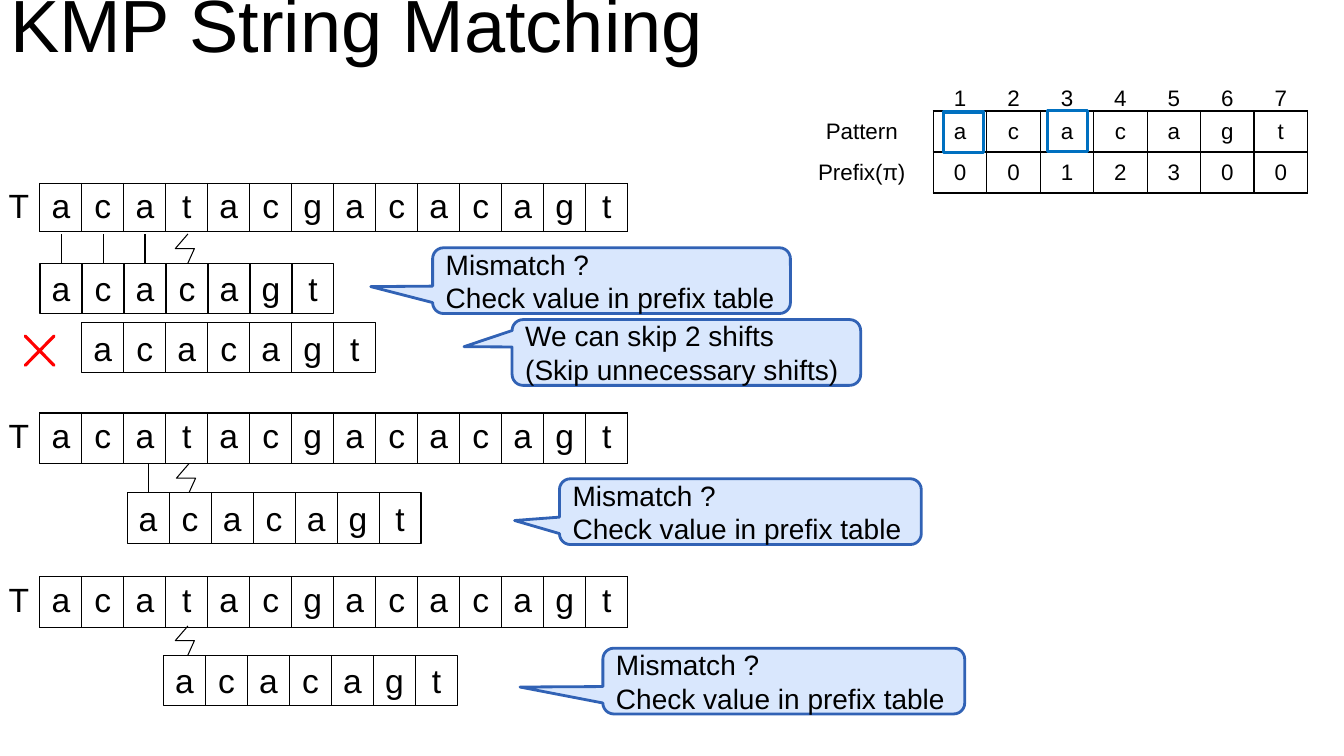
"""Build the KMP string matching slide."""
import pptx
import pptx.util
import pptx.dml.color
import pptx.enum.shapes
import pptx.enum.text
import pptx.oxml
import pptx.oxml.ns

Pt = pptx.util.Pt
MSO_SHAPE = pptx.enum.shapes.MSO_SHAPE
PP_ALIGN = pptx.enum.text.PP_ALIGN
MSO_ANCHOR = pptx.enum.text.MSO_ANCHOR
COLORS = {"text": "000000", "callout": "D9E7FD", "callout_line": "3162B5",
          "mark": "0070C0", "cross": "FF0000"}
NO_GRID = "{2D5ABB26-0587-4C30-8999-92F81FD0307C}"
TEXT = "acatacgacacagt"
PATTERN = "acacagt"
PREFIX = "0012300"
CELL_W = 30
CELL_H = 36
MISMATCH = ["Mismatch ?", "Check value in prefix table"]


def rgb(name):
    return pptx.dml.color.RGBColor.from_string(COLORS[name])


def format_paragraph(p, size, align):
    p.alignment = align
    p.font.size = Pt(size)
    p.font.name = "Arial"
    p.font.color.rgb = rgb("text")


def style_shape(sp, line, width, fill=None):
    sp.shadow.inherit = False
    sp.line.color.rgb = rgb(line)
    sp.line.width = Pt(width)
    if fill:
        sp.fill.solid()
        sp.fill.fore_color.rgb = rgb(fill)
    else:
        sp.fill.background()


def add_box(slide, kind, left, top, width, height, line, line_width, fill=None):
    sp = slide.shapes.add_shape(kind, Pt(left), Pt(top), Pt(width), Pt(height))
    style_shape(sp, line, line_width, fill)
    return sp


def add_title(slide, text):
    sp = slide.shapes.title
    sp.left, sp.top, sp.width, sp.height = Pt(0), Pt(0), Pt(960), Pt(56)
    tf = sp.text_frame
    tf.auto_size = pptx.enum.text.MSO_AUTO_SIZE.NONE
    tf.vertical_anchor = MSO_ANCHOR.BOTTOM
    tf.margin_left = tf.margin_top = tf.margin_right = tf.margin_bottom = Pt(7.2)
    tf.text = text
    p = tf.paragraphs[0]
    p.line_spacing = 0.9
    format_paragraph(p, 52.8, PP_ALIGN.LEFT)


def set_borders(cell, sides):
    tcPr = cell._tc.get_or_add_tcPr()
    ns = pptx.oxml.ns.nsdecls("a")
    for i, side in enumerate(s for s in "LRTB" if s in sides):
        tcPr.insert(i, pptx.oxml.parse_xml(
            f'<a:ln{side} {ns} w="12700"><a:solidFill>'
            f'<a:srgbClr val="{COLORS["text"]}"/></a:solidFill></a:ln{side}>'))


def fill_cell(cell, text, size, sides, anchor):
    cell.text = text
    cell.vertical_anchor = anchor
    format_paragraph(cell.text_frame.paragraphs[0], size, PP_ALIGN.CENTER)
    cell.fill.background()
    set_borders(cell, sides)


def add_grid(slide, left, top, widths, row_height, rows):
    frame = slide.shapes.add_table(len(rows), len(widths), Pt(left), Pt(top),
                                   Pt(sum(widths)), Pt(row_height * len(rows)))
    table = frame.table
    table.first_row = table.horz_banding = False
    table._tbl.tblPr.find(pptx.oxml.ns.qn("a:tableStyleId")).text = NO_GRID
    for column, width in zip(table.columns, widths):
        column.width = Pt(width)
    for row in table.rows:
        row.height = Pt(row_height)
    return table


def add_prefix_table(slide):
    rows = [["", *"1234567"], ["Pattern", *PATTERN], ["Prefix(π)", *PREFIX]]
    table = add_grid(slide, 564.5, 50, [102.2] + [38.2] * 7, 29.3, rows)
    for r, row in enumerate(rows):
        for c, value in enumerate(row):
            if r == 0:
                sides, anchor = "B" if c else "", MSO_ANCHOR.BOTTOM
            else:
                sides, anchor = "LRTB" if c else "R", MSO_ANCHOR.MIDDLE
            cell = table.cell(r, c)
            fill_cell(cell, value, 16, sides, anchor)
            if r == 0:
                cell.margin_bottom = Pt(0)


def add_text_row(slide, top, height):
    row = "T" + TEXT
    table = add_grid(slide, -1.5, top, [CELL_W] * len(row), height, [row])
    for c, letter in enumerate(row):
        fill_cell(table.cell(0, c), letter, 24, "LRTB" if c else "R", MSO_ANCHOR.TOP)


def add_pattern_row(slide, left, top):
    boxes = []
    for i, letter in enumerate(PATTERN):
        sp = add_box(slide, MSO_SHAPE.RECTANGLE, left + i * CELL_W, top,
                     CELL_W, CELL_H, "text", 0.75)
        tf = sp.text_frame
        tf.vertical_anchor = MSO_ANCHOR.MIDDLE
        tf.text = letter
        format_paragraph(tf.paragraphs[0], 24, PP_ALIGN.CENTER)
        boxes.append(sp)
    return boxes


def add_match_line(slide, box):
    x = box.left + box.width // 2
    line = slide.shapes.add_connector(pptx.enum.shapes.MSO_CONNECTOR.STRAIGHT,
                                      x, box.top, x, box.top - Pt(20.5))
    line.begin_connect(box, 0)
    line.line.color.rgb = rgb("text")
    line.line.width = Pt(0.75)
    line._element.spPr.append(pptx.oxml.parse_xml(
        f'<a:effectLst {pptx.oxml.ns.nsdecls("a")}/>'))


def add_mismatch_bolt(slide, left, top):
    points = [(Pt(left + x), Pt(top + y))
              for x, y in [(9, 0), (0, 10.4), (13.7, 10.4), (9, 20.8)]]
    builder = slide.shapes.build_freeform(*points[0])
    builder.add_line_segments(points[1:], close=False)
    style_shape(builder.convert_to_shape(), "text", 0.75)


def add_callout(slide, left, top, width, tip, lines):
    sp = add_box(slide, MSO_SHAPE.ROUNDED_RECTANGULAR_CALLOUT, left, top, width, 47,
                 "callout_line", 2, "callout")
    sp.adjustments[0], sp.adjustments[1] = tip
    tf = sp.text_frame
    tf.vertical_anchor = MSO_ANCHOR.MIDDLE
    tf.text = "\n".join(lines)
    for p in tf.paragraphs:
        format_paragraph(p, 20, PP_ALIGN.LEFT)


def main():
    prs = pptx.Presentation()
    prs.slide_width, prs.slide_height = Pt(960), Pt(540)
    slide = prs.slides.add_slide(prs.slide_layouts[5])
    add_title(slide, "KMP String Matching")
    add_prefix_table(slide)
    for left, top in [(674, 80), (748, 79.2)]:
        add_box(slide, MSO_SHAPE.RECTANGLE, left, top, 28.8, 28.8, "mark", 2.25)

    steps = [(131, 34.5, 28.6, 188, 125.2, 3),
             (295, 36, 90.8, 352, 126, 1),
             (412, 36, 116.8, 468, 125.2, 0)]
    for text_top, height, left, top, bolt_left, matches in steps:
        add_text_row(slide, text_top, height)
        boxes = add_pattern_row(slide, left, top)
        for box in boxes[:matches]:
            add_match_line(slide, box)
        add_mismatch_bolt(slide, bolt_left, top - 20.8)

    add_pattern_row(slide, 58.4, 230.4)
    cross = add_box(slide, MSO_SHAPE.MATH_MULTIPLY, 8.5, 230.4, 39.6, 40.3, "cross", 2.25)
    cross.adjustments[0] = 0

    add_callout(slide, 309, 177, 255.6, (-0.673, 0.091), MISMATCH)
    add_callout(slide, 365.8, 228.3, 249, (-0.638, -0.088),
                ["We can skip 2 shifts", "(Skip unnecessary shifts)"])
    add_callout(slide, 399.6, 342, 258.5, (-0.624, 0.135), MISMATCH)
    add_callout(slide, 430.6, 463, 258.5, (-0.729, 0.091), MISMATCH)
    prs.save("out.pptx")


if __name__ == "__main__":
    main()
